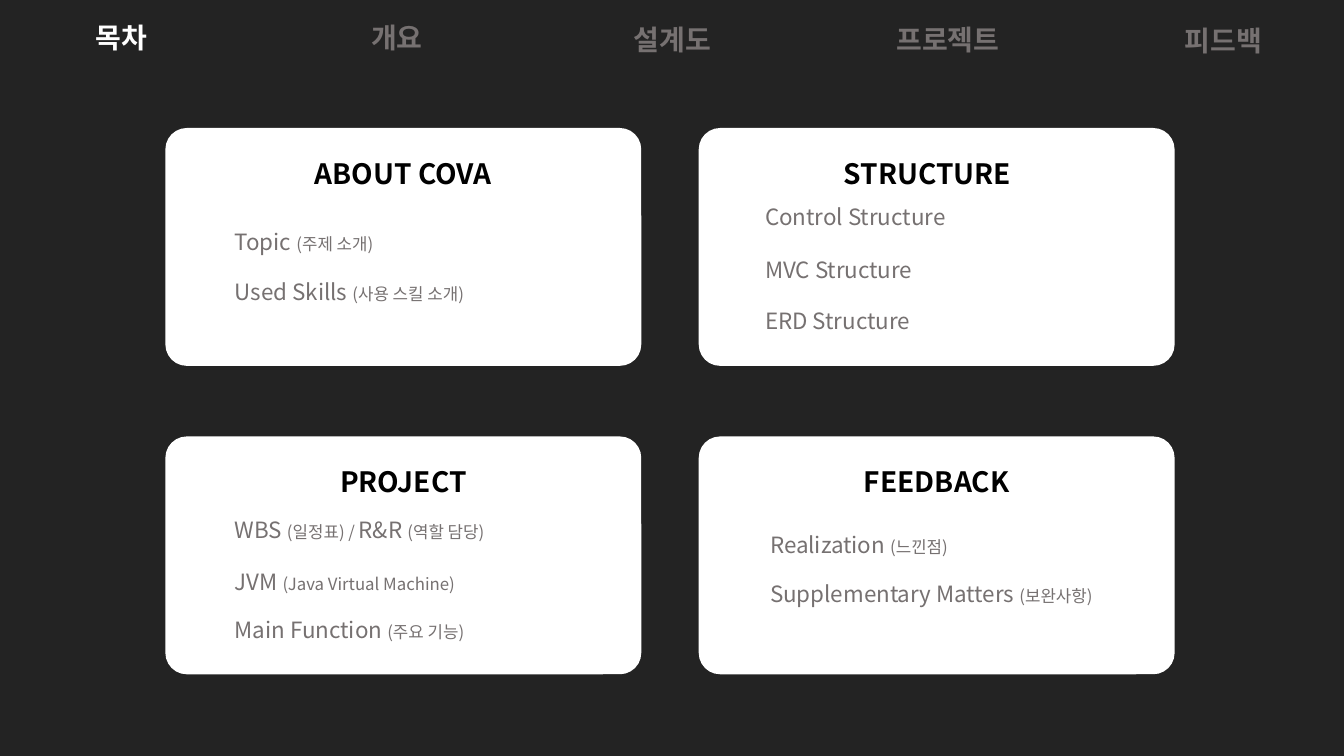
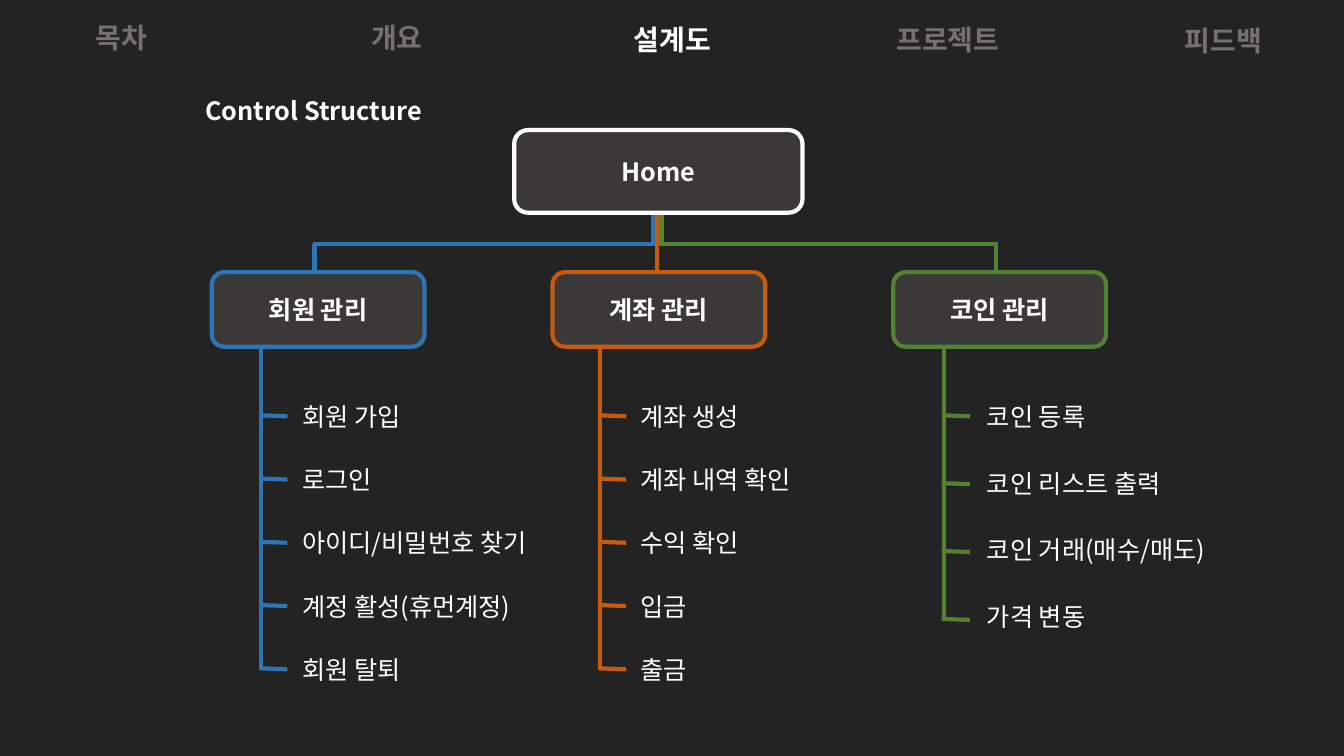
from dataclasses import dataclass
from itertools import cycle

from lxml.etree import SubElement
from pptx import Presentation
from pptx.dml.color import RGBColor
from pptx.enum.shapes import MSO_CONNECTOR as Connector
from pptx.enum.shapes import MSO_SHAPE as Shape
from pptx.enum.text import MSO_AUTO_SIZE as AutoSize
from pptx.enum.text import PP_ALIGN as Align
from pptx.oxml.ns import qn
from pptx.util import Pt

PX = 9144  # EMU, so 100 px make one inch
FONT = "Noto Sans CJK KR"
COLORS = {
    "background": "232323",
    "white": "FFFFFF",
    "black": "000000",
    "muted": "767171",
    "node": "3B3838",
    "blue": "2E75B6",
    "orange": "C55A11",
    "green": "548235",
}
FORMATS = {
    "heading": {"size": Pt(20), "bold": True},
    "node": {"size": Pt(18), "bold": True},
    "leaf": {"size": Pt(18), "bold": False},
    "entry": {"size": Pt(16), "bold": False},
    "remark": {"size": Pt(12), "bold": False},
}
LINE_WIDTH = Pt(3)

TABS = [("목차", 15), ("개요", 15), ("설계도", 17), ("프로젝트", 17), ("피드백", 18)]
TAB_LEFT, TAB_STEP, TAB_WIDTH = 18, 273.25, 205

CARD_WIDTH, CARD_HEIGHT = 472, 236
NODE_TOP, NODE_WIDTH, NODE_HEIGHT = 270, 211, 74
HOME_BOTTOM, ELBOW_Y = 211, 242
STUB_LENGTH = 28


@dataclass
class Card:
    left: int
    top: int
    title: str
    title_left: int
    entry_left: int
    entries: list  # (top, texts that alternate between entry and remark)


@dataclass
class Branch:
    title: str
    color: str
    left: int
    stem_x: int
    drop_x: int
    trunk_x: int
    label_left: int
    label_width: int
    last_label_top: int
    last_stub_y: int
    labels: list


CARDS = [
    Card(164, 127, "ABOUT COVA", 264, 223, [
        (221, ["Topic ", "(주제 소개)"]),
        (271, ["Used Skills ", "(사용 스킬 소개)"]),
    ]),
    Card(693, 127, "STRUCTURE", 784, 749, [
        (197, ["Control Structure"]),
        (249, ["MVC Structure"]),
        (300, ["ERD Structure"]),
    ]),
    Card(164, 433, "PROJECT", 264, 223, [
        (507, ["WBS ", "(일정표) / ", "R&R ", "(역할 담당)"]),
        (559, ["JVM ", "(Java Virtual Machine)"]),
        (606, ["Main Function ", "(주요 기능)"]),
    ]),
    Card(693, 433, "FEEDBACK", 793, 754, [
        (522, ["Realization ", "(느낀점)"]),
        (571, ["Supplementary Matters ", "(보완사항)"]),
    ]),
]

BRANCHES = [
    Branch("회원 관리", "blue", 210, 648, 312, 259, 290, 280, 644, 663,
           ["회원 가입", "로그인", "아이디/비밀번호 찾기", "계정 활성(휴먼계정)", "회원 탈퇴"]),
    Branch("계좌 관리", "orange", 548, 652, 652, 595, 625, 261, 644, 663,
           ["계좌 생성", "계좌 내역 확인", "수익 확인", "입금", "출금"]),
    Branch("코인 관리", "green", 886, 656, 988, 936, 969, 261, 592, 614,
           ["코인 등록", "코인 리스트 출력", "코인 거래(매수/매도)", "가격 변동"]),
]


def px(*lengths):
    return [round(length * PX) for length in lengths]


def rgb(name):
    return RGBColor.from_string(COLORS[name])


def spread(first, last, count):
    """Return count evenly spaced positions from first to last."""
    return [first + (last - first) * index / (count - 1) for index in range(count)]


def add_run(paragraph, text, style, color):
    run = paragraph.add_run()
    run.text = text
    for name, value in FORMATS[style].items():
        setattr(run.font, name, value)
    run.font.color.rgb = rgb(color)
    run.font.name = FONT
    SubElement(run.font._element, qn("a:ea"), typeface=FONT)


def add_text(slide, box, runs, color, align=Align.LEFT):
    """Add a one-paragraph text box; runs are (text, style) pairs."""
    frame = slide.shapes.add_textbox(*px(*box)).text_frame
    frame.word_wrap = True
    frame.auto_size = AutoSize.SHAPE_TO_FIT_TEXT
    paragraph = frame.paragraphs[0]
    paragraph.alignment = align
    for text, style in runs:
        add_run(paragraph, text, style, color)


def add_rounded(slide, box, fill):
    shape = slide.shapes.add_shape(Shape.ROUNDED_RECTANGLE, *px(*box))
    shape.shadow.inherit = False
    shape.fill.solid()
    shape.fill.fore_color.rgb = rgb(fill)
    return shape


def add_node(slide, box, title, color):
    shape = add_rounded(slide, box, "node")
    shape.line.color.rgb = rgb(color)
    shape.line.width = LINE_WIDTH
    paragraph = shape.text_frame.paragraphs[0]
    paragraph.alignment = Align.CENTER
    add_run(paragraph, title, "node", "white")


def add_line(slide, start, end, color):
    line = slide.shapes.add_connector(Connector.STRAIGHT, *px(*start, *end))
    line.line.color.rgb = rgb(color)
    line.line.width = LINE_WIDTH
    SubElement(line._element.spPr, qn("a:effectLst"))


def add_card(slide, card):
    shape = add_rounded(slide, (card.left, card.top, CARD_WIDTH, CARD_HEIGHT), "white")
    shape.adjustments[0] = 0.09
    shape.line.fill.background()
    add_text(slide, (card.title_left, card.top + 23, 272, 44),
             [(card.title, "heading")], "black", Align.CENTER)
    for top, texts in card.entries:
        add_text(slide, (card.entry_left, top, 383, 37),
                 zip(texts, cycle(("entry", "remark"))), "muted")


def add_link(slide, branch):
    """Join the home node to the branch node, with an elbow where they are apart."""
    stem_x, drop_x, color = branch.stem_x, branch.drop_x, branch.color
    if stem_x == drop_x:
        add_line(slide, (stem_x, HOME_BOTTOM), (stem_x, NODE_TOP), color)
        return
    overlap = 2 if drop_x > stem_x else -2
    add_line(slide, (stem_x, HOME_BOTTOM), (stem_x, ELBOW_Y), color)
    add_line(slide, (stem_x - overlap, ELBOW_Y), (drop_x + overlap, ELBOW_Y), color)
    add_line(slide, (drop_x, ELBOW_Y), (drop_x, NODE_TOP), color)


def add_branch(slide, branch):
    add_node(slide, (branch.left, NODE_TOP, NODE_WIDTH, NODE_HEIGHT),
             branch.title, branch.color)
    add_link(slide, branch)
    add_line(slide, (branch.trunk_x, NODE_TOP + NODE_HEIGHT),
             (branch.trunk_x, branch.last_stub_y + 2), branch.color)
    count = len(branch.labels)
    label_tops = spread(393, branch.last_label_top, count)
    stub_ys = spread(412, branch.last_stub_y, count)
    stub_left = branch.trunk_x - 2
    for label, top, stub_y in zip(branch.labels, label_tops, stub_ys):
        add_line(slide, (stub_left, stub_y), (stub_left + STUB_LENGTH, stub_y + 1),
                 branch.color)
        add_text(slide, (branch.label_left, top, branch.label_width, 40),
                 [(label, "leaf")], "white")


def add_page(presentation, active_tab):
    slide = presentation.slides.add_slide(presentation.slide_layouts[6])
    for index, (label, top) in enumerate(TABS):
        add_text(slide, (TAB_LEFT + index * TAB_STEP, top, TAB_WIDTH, 44),
                 [(label, "heading")],
                 "white" if label == active_tab else "muted", Align.CENTER)
    return slide


def build_contents(presentation):
    slide = add_page(presentation, "목차")
    for card in CARDS:
        add_card(slide, card)


def build_structure(presentation):
    slide = add_page(presentation, "설계도")
    add_text(slide, (169, 90, 284, 40), [("Control Structure", "node")],
             "white", Align.CENTER)
    for branch in BRANCHES:
        add_branch(slide, branch)
    add_node(slide, (510, 129, 286, HOME_BOTTOM - 129), "Home", "white")


def main():
    presentation = Presentation()
    presentation.slide_width, presentation.slide_height = px(1333, 750)
    background = presentation.slide_master.background.fill
    background.solid()
    background.fore_color.rgb = rgb("background")
    build_contents(presentation)
    build_structure(presentation)
    presentation.save("out.pptx")


if __name__ == "__main__":
    main()
